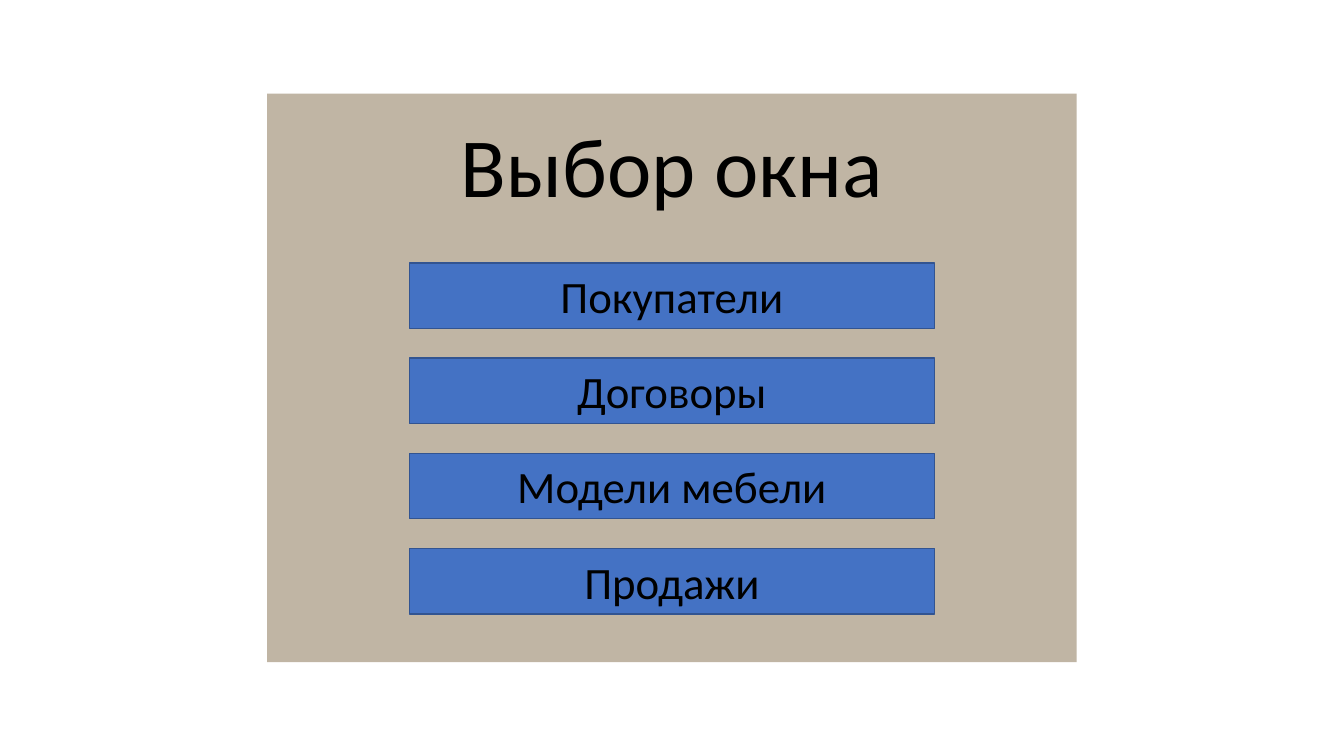
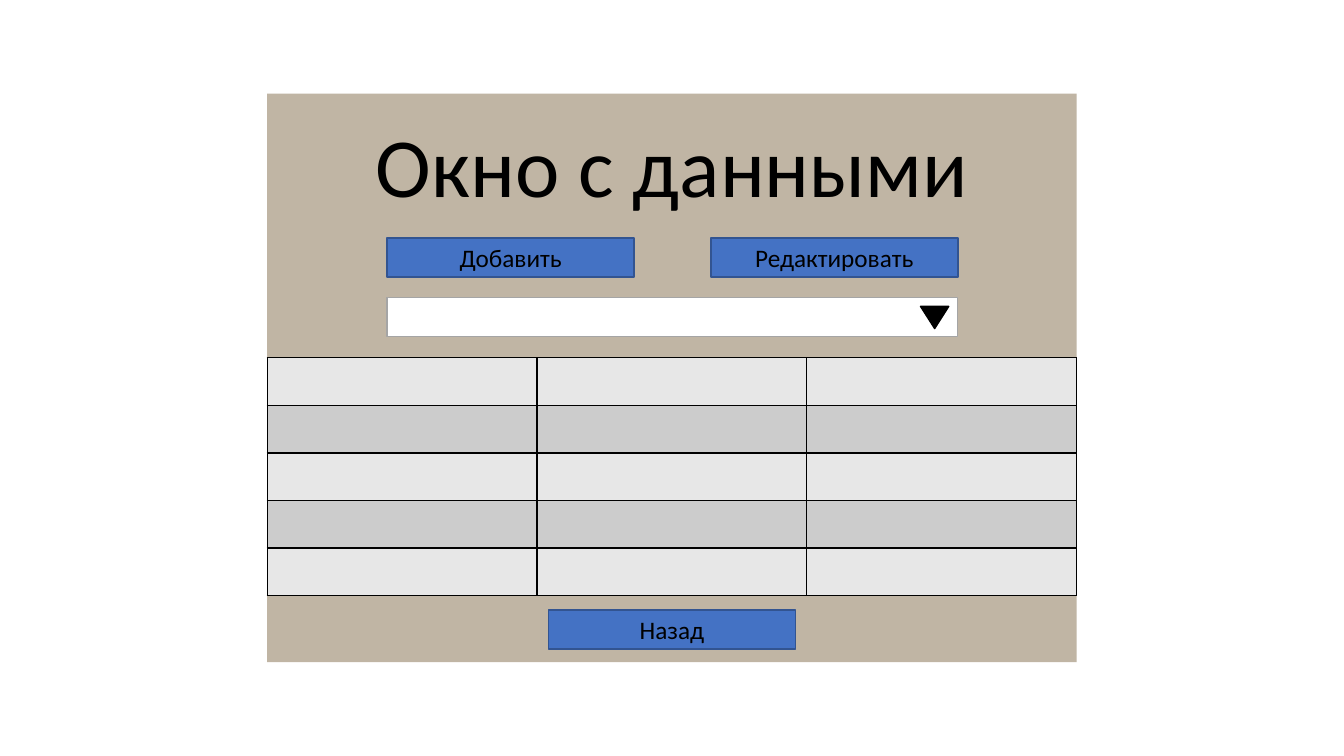
from dataclasses import dataclass

from lxml import etree
from pptx import Presentation
from pptx.dml.color import RGBColor
from pptx.enum.shapes import MSO_SHAPE as SHAPE
from pptx.enum.text import MSO_ANCHOR as ANCHOR, MSO_AUTO_SIZE as AUTO, PP_ALIGN as ALIGN
from pptx.oxml.ns import qn
from pptx.shapes.autoshape import Shape
from pptx.slide import Slide
from pptx.util import Inches, Pt

# Shared style
FONT = "Calibri"
BLACK, WHITE, PANEL = "000000", "FFFFFF", "C0B5A4"
BLUE, BLUE_EDGE, GREY_EDGE = "4472C4", "325491", "A5A5A5"
ROW_FILLS = ("E7E7E7", "CCCCCC")


@dataclass(frozen=True)
class Box:
    left: float
    top: float
    width: float
    height: float

    def emu(self) -> list[int]:
        return [Inches(v) for v in (self.left, self.top, self.width, self.height)]


@dataclass(frozen=True)
class Button:
    label: str
    box: Box
    size: int


WINDOW = Box(2.65, 0.93, 8.03, 5.64)
TITLE = Box(3.29, 1.07, 6.75, 1.11)


def rgb(value: str) -> RGBColor:
    return RGBColor.from_string(value)


def write(sp: Shape, text: str, size: int) -> None:
    tf = sp.text_frame
    tf.text = text
    tf.word_wrap = True
    tf.auto_size = AUTO.NONE
    tf.vertical_anchor = ANCHOR.MIDDLE
    p = tf.paragraphs[0]
    p.alignment = ALIGN.CENTER
    font = p.runs[0].font
    font.name, font.size = FONT, Pt(size)
    font.color.rgb = rgb(BLACK)


def add_box(s: Slide, box: Box, fill: str, edge: str = "", kind: SHAPE = SHAPE.RECTANGLE) -> Shape:
    sp = s.shapes.add_shape(kind, *box.emu())
    sp.shadow.inherit = False
    sp.fill.solid()
    sp.fill.fore_color.rgb = rgb(fill)
    if edge:
        sp.line.color.rgb = rgb(edge)
        sp.line.width = Pt(1)
    else:
        sp.line.fill.background()
    return sp


def add_button(s: Slide, button: Button) -> None:
    write(add_box(s, button.box, BLUE, BLUE_EDGE), button.label, button.size)


def add_window(prs: Presentation, heading: str) -> Slide:
    s = prs.slides.add_slide(prs.slide_layouts[5])
    title = s.shapes.title
    title.left, title.top, title.width, title.height = TITLE.emu()
    write(title, heading, 60)
    # The panel lies behind the title
    title.element.addprevious(add_box(s, WINDOW, PANEL).element)
    return s


def add_grid(s: Slide, box: Box, rows: int, cols: int) -> None:
    table = s.shapes.add_table(rows, cols, *box.emu()).table
    table.first_row = table.horz_banding = False
    for i in range(rows):
        for j in range(cols):
            cell = table.cell(i, j)
            tc_pr = cell._tc.get_or_add_tcPr()
            for side in ("a:lnL", "a:lnR", "a:lnT", "a:lnB"):
                ln = etree.SubElement(tc_pr, qn(side), w=str(Pt(1)))
                solid = etree.SubElement(ln, qn("a:solidFill"))
                etree.SubElement(solid, qn("a:srgbClr"), val=BLACK)
            cell.fill.solid()
            cell.fill.fore_color.rgb = rgb(ROW_FILLS[i % 2])


prs = Presentation()
prs.slide_width, prs.slide_height = Inches(13.33), Inches(7.5)

# Slide 1: window menu
s = add_window(prs, "Выбор окна")
MENU_TOP, MENU_STEP = 2.61, (5.44 - 2.61) / 3
for i, label in enumerate(("Покупатели", "Договоры", "Модели мебели", "Продажи")):
    add_button(s, Button(label, Box(4.06, MENU_TOP + i * MENU_STEP, 5.21, 0.65), 32))

# Slide 2: data window
s = add_window(prs, "Окно с данными")
add_grid(s, Box(WINDOW.left, 3.55, WINDOW.width, 2.36), rows=5, cols=3)
for label, left, top in (("Назад", 5.44, 6.05), ("Добавить", 3.84, 2.36), ("Редактировать", 7.05, 2.36)):
    add_button(s, Button(label, Box(left, top, 2.45, 0.39), 18))

# Drop-down list
add_box(s, Box(3.84, 2.95, 5.66, 0.39), WHITE, GREY_EDGE)
arrow = add_box(s, Box(9.13, 3.04, 0.28, 0.22), BLACK, BLACK, SHAPE.ISOSCELES_TRIANGLE)
arrow.rotation = 180

prs.save("out.pptx")
